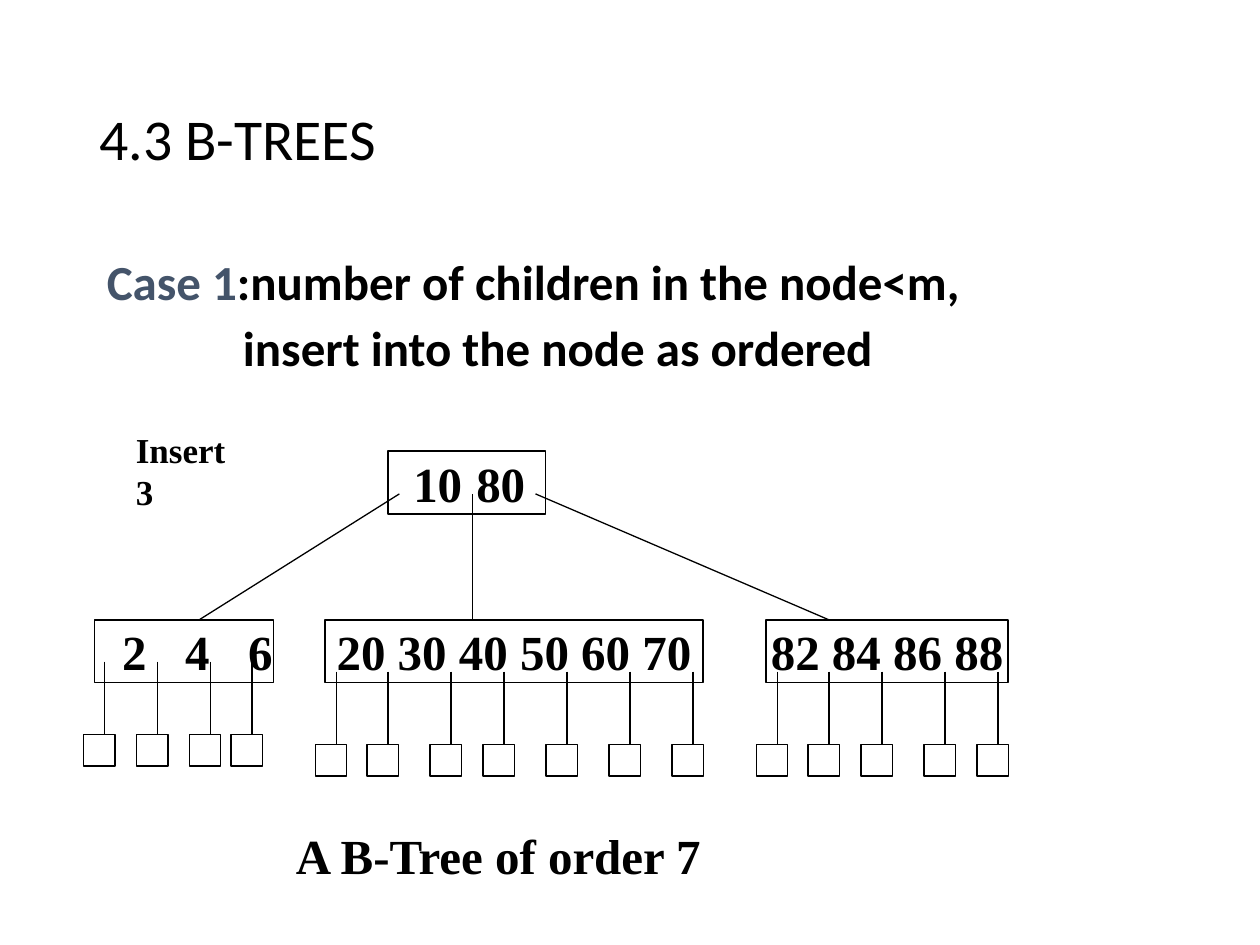
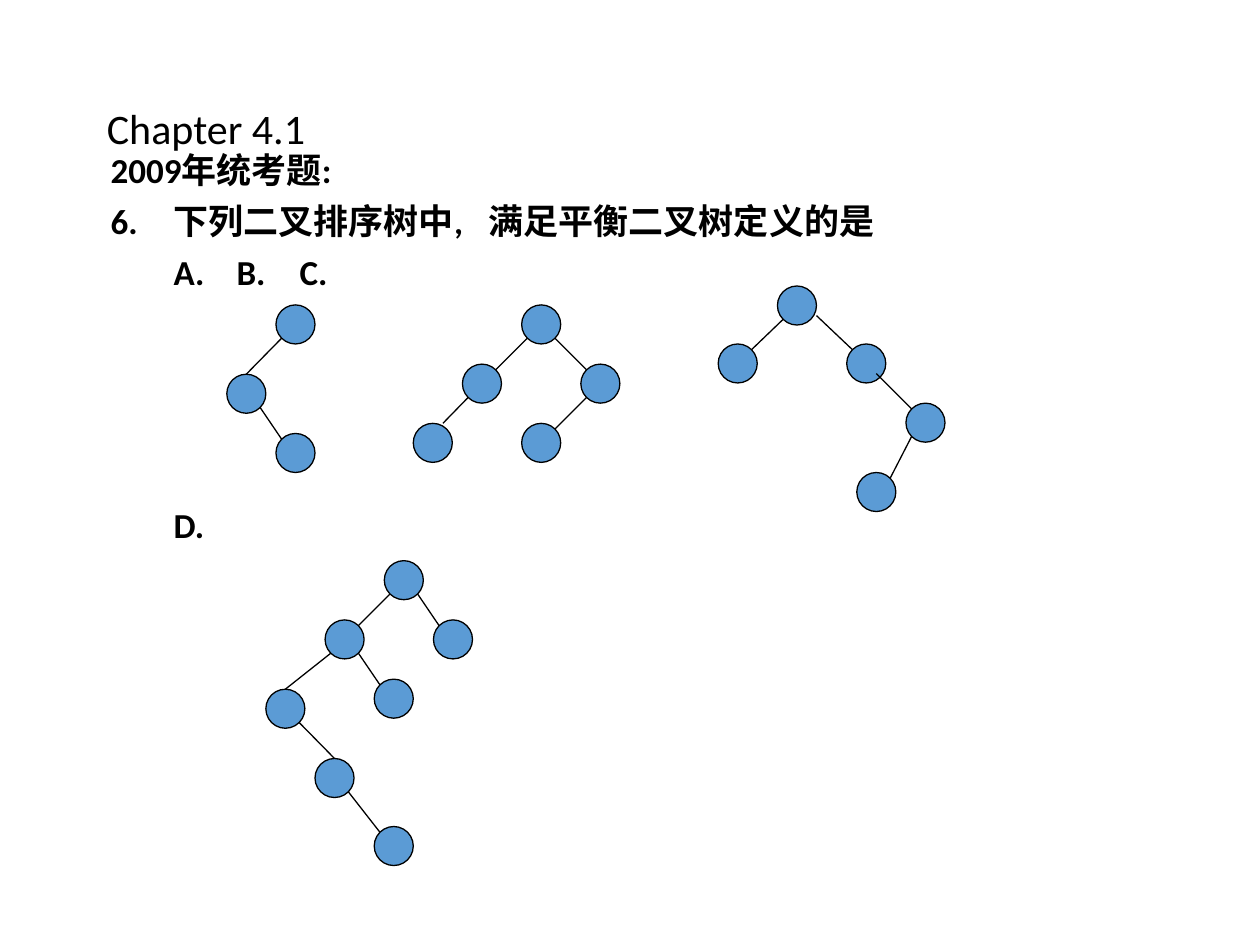
from dataclasses import dataclass

from lxml import etree
from pptx import Presentation
from pptx.dml.color import RGBColor
from pptx.enum.shapes import MSO_CONNECTOR as Connector, MSO_SHAPE as Shape
from pptx.enum.text import MSO_ANCHOR as Anchor, PP_ALIGN as Align
from pptx.oxml.ns import qn
from pptx.util import Inches, Pt


@dataclass(frozen=True)
class Theme:
    ink: RGBColor = RGBColor(0x00, 0x00, 0x00)
    accent: RGBColor = RGBColor(0x44, 0x54, 0x6A)
    node: RGBColor = RGBColor(0x5B, 0x9B, 0xD5)
    sans: str = "Calibri"
    serif: str = "Times New Roman"
    title: float = 33
    small_title: float = 24
    large: float = 28
    small: float = 20
    outline: float = 0.75
    spacing: float = 0.9
    gap: float = 7.5


THEME = Theme()
LEAF_SIZE = 0.25
STUB_LENGTH = 0.58
DIAMETER = 0.31
RADIUS = DIAMETER / 2
CORNER = 0.11  # offset of a 45° point on a circle
TOP = (0, -RADIUS)


class Deck:
    def __init__(self, theme):
        self.theme = theme
        self.file = Presentation()
        self.file.slide_width, self.file.slide_height = Inches(10), Inches(7.5)
        self.slide = None

    def new_slide(self):
        self.slide = self.file.slides.add_slide(self.file.slide_layouts[6])

    def paragraph(self, target, runs, size, font, bold=True, tabs=(), indent=0):
        """Fill a paragraph with (text, colour) runs; tabs and indent are in inches."""
        props = target._p.get_or_add_pPr()
        props.set("marL", str(Inches(indent)))
        props.set("indent", "0")
        if tabs:
            stops = etree.SubElement(props, qn("a:tabLst"))
            for stop in tabs:
                etree.SubElement(stops, qn("a:tab"), pos=str(Inches(stop)), algn="l")
        for text, color in runs:
            run = target.add_run()
            run.text = text
            run.font.name, run.font.size, run.font.bold = font, Pt(size), bold
            run.font.color.rgb = color

    def text_frame(self, left, top, width, height):
        box = self.slide.shapes.add_textbox(
            Inches(left), Inches(top), Inches(width), Inches(height))
        box.text_frame.word_wrap = True
        return box.text_frame

    def title(self, area, text, size):
        frame = self.text_frame(*area)
        frame.vertical_anchor = Anchor.MIDDLE
        heading = frame.paragraphs[0]
        heading.line_spacing = self.theme.spacing
        self.paragraph(heading, [(text, self.theme.ink)], size, self.theme.sans, bold=False)

    def body(self, area, lines, size):
        """Add lines of (runs, tabs, indent, space before)."""
        frame = self.text_frame(*area)
        for number, (runs, tabs, indent, before) in enumerate(lines):
            line = frame.add_paragraph() if number else frame.paragraphs[0]
            line.line_spacing = self.theme.spacing
            line.space_before = Pt(before)
            self.paragraph(line, runs, size, self.theme.sans, tabs=tabs, indent=indent)

    def caption(self, area, text, size, tabs=()):
        frame = self.text_frame(*area)
        self.paragraph(frame.paragraphs[0], [(text, self.theme.ink)], size,
                       self.theme.serif, tabs=tabs)

    def shape(self, kind, left, top, width, height, fill=None):
        item = self.slide.shapes.add_shape(
            kind, Inches(left), Inches(top), Inches(width), Inches(height))
        item.shadow.inherit = False
        if fill is None:
            item.fill.background()
        else:
            item.fill.solid()
            item.fill.fore_color.rgb = fill
        item.line.color.rgb = self.theme.ink
        item.line.width = Pt(self.theme.outline)
        return item

    def key_node(self, left, top, width, keys, inset=0.1, tabs=()):
        """Add a B-tree node; keys set on tab stops start at the inset."""
        frame = self.shape(Shape.RECTANGLE, left, top, width, 0.5).text_frame
        frame.word_wrap = bool(tabs)
        frame.vertical_anchor = Anchor.MIDDLE
        frame.margin_left = Inches(inset)
        frame.margin_right = Inches(0 if tabs else inset)
        keys_line = frame.paragraphs[0]
        keys_line.alignment = Align.LEFT if tabs else Align.CENTER
        self.paragraph(keys_line, [(keys, self.theme.ink)], self.theme.large,
                       self.theme.serif, tabs=tabs)

    def line(self, start, end):
        link = self.slide.shapes.add_connector(
            Connector.STRAIGHT, *(Inches(value) for value in (*start, *end)))
        link.line.color.rgb = self.theme.ink
        link.line.width = Pt(self.theme.outline)
        etree.SubElement(link._element.spPr, qn("a:effectLst"))

    def leaves(self, top, stubs):
        for x in stubs:
            bottom = top + STUB_LENGTH
            self.line((x, top), (x, bottom))
            self.shape(Shape.RECTANGLE, x - 1 / 6, bottom, LEAF_SIZE, LEAF_SIZE)

    def binary_tree(self, nodes, edges):
        """Draw circles by top-left corner, then (parent, child, start, end) edges.

        Start and end are offsets from the circle centres; None takes the 45° point.
        """
        for left, top in nodes:
            self.shape(Shape.OVAL, left, top, DIAMETER, DIAMETER, self.theme.node)
        for parent, child, start, end in edges:
            (px, py), (cx, cy) = (
                (x + RADIUS, y + RADIUS) for x, y in (nodes[parent], nodes[child]))
            side = CORNER if cx > px else -CORNER
            sx, sy = start or (side, CORNER)
            ex, ey = end or (-side, -CORNER)
            self.line((px + sx, py + sy), (cx + ex, cy + ey))


def b_tree_slide(deck):
    theme = deck.theme
    deck.new_slide()
    deck.title((0.69, 0.4, 8.63, 1.45), "4.3 B-TREES", theme.title)
    deck.body((0.69, 2, 8.63, 4.76), [
        ([("Case 1", theme.accent), (":number of children in the node<m,", theme.ink)],
         (), 0.06, 0),
        ([("insert into the node as ordered", theme.ink)], (), 1.14, theme.gap),
    ], theme.large)

    deck.key_node(3.08, 3.58, 1.25, "10\t80", inset=0.2, tabs=(0.58,))
    deck.key_node(0.75, 4.92, 1.42, "2\t4\t6", inset=0.22, tabs=(0.39, 0.78))
    deck.key_node(2.58, 4.92, 3, "20 30 40 50 60 70")
    deck.key_node(6.08, 4.92, 1.92, "82 84 86 88")
    for root_x, child_x in ((3.17, 1.58), (3.75, 3.75), (4.25, 6.58)):
        deck.line((root_x, 3.92), (child_x, 4.92))
    deck.leaves(5.25, (0.83, 1.25, 1.67, 2))
    deck.leaves(5.33, (2.67, 3.08, 3.58, 4, 4.5, 5, 5.5))
    deck.leaves(5.33, (6.17, 6.58, 7, 7.5, 7.92))

    deck.caption((2.25, 6.5, 4.64, 0.57), "A B-Tree of order 7", theme.large)
    deck.caption((0.98, 3.35, 1.3, 0.44), "Insert\t3", theme.small, tabs=(0.85,))


def balanced_tree_slide(deck):
    theme = deck.theme
    deck.new_slide()
    deck.title((0.75, 0.67, 8.5, 0.74), "Chapter 4.1", theme.small_title)
    options = (0.63, 2.13, 4.17)
    deck.body((0.78, 1.17, 8.5, 5.94), [
        ([("2009年统考题:", theme.ink)], (), 0, 0),
        ([("6.\t下列二叉排序树中,\t满足平衡二叉树定义的是", theme.ink)],
         (0.42, 2.97), 0, theme.gap),
        ([("\tA.\tB.\tC.", theme.ink)], options, 0, theme.gap),
        ([("\tD.", theme.ink)], options[:1], 0, 123),
    ], theme.small)

    option_a = (
        [(2.19, 2.42), (1.8, 2.97), (2.19, 3.44)],
        [(0, 1, None, TOP), (1, 2, None, None)])
    option_b = (
        [(4.14, 2.42), (3.67, 2.89), (4.61, 2.89), (3.28, 3.36), (4.14, 3.36)],
        [(0, 1, None, None), (0, 2, None, None),
         (1, 3, None, (0.08, -RADIUS)), (2, 4, None, None)])
    option_c = (
        [(6.17, 2.27), (5.7, 2.73), (6.72, 2.73), (7.19, 3.2), (6.8, 3.75)],
        [(0, 1, None, None), (0, 2, (RADIUS, 0.08), None),
         (2, 3, (0.08, 0.08), None), (3, 4, None, None)])
    option_d = (
        [(3.05, 4.45), (2.58, 4.92), (3.44, 4.92), (2.11, 5.47), (2.97, 5.39),
         (2.5, 6.02), (2.97, 6.56)],
        [(0, 1, None, None), (0, 2, None, None), (1, 3, None, TOP),
         (1, 4, None, None), (3, 5, None, TOP), (5, 6, None, None)])
    for nodes, edges in (option_a, option_b, option_c, option_d):
        deck.binary_tree(nodes, edges)


def main():
    deck = Deck(THEME)
    b_tree_slide(deck)
    balanced_tree_slide(deck)
    deck.file.save("out.pptx")


if __name__ == "__main__":
    main()
